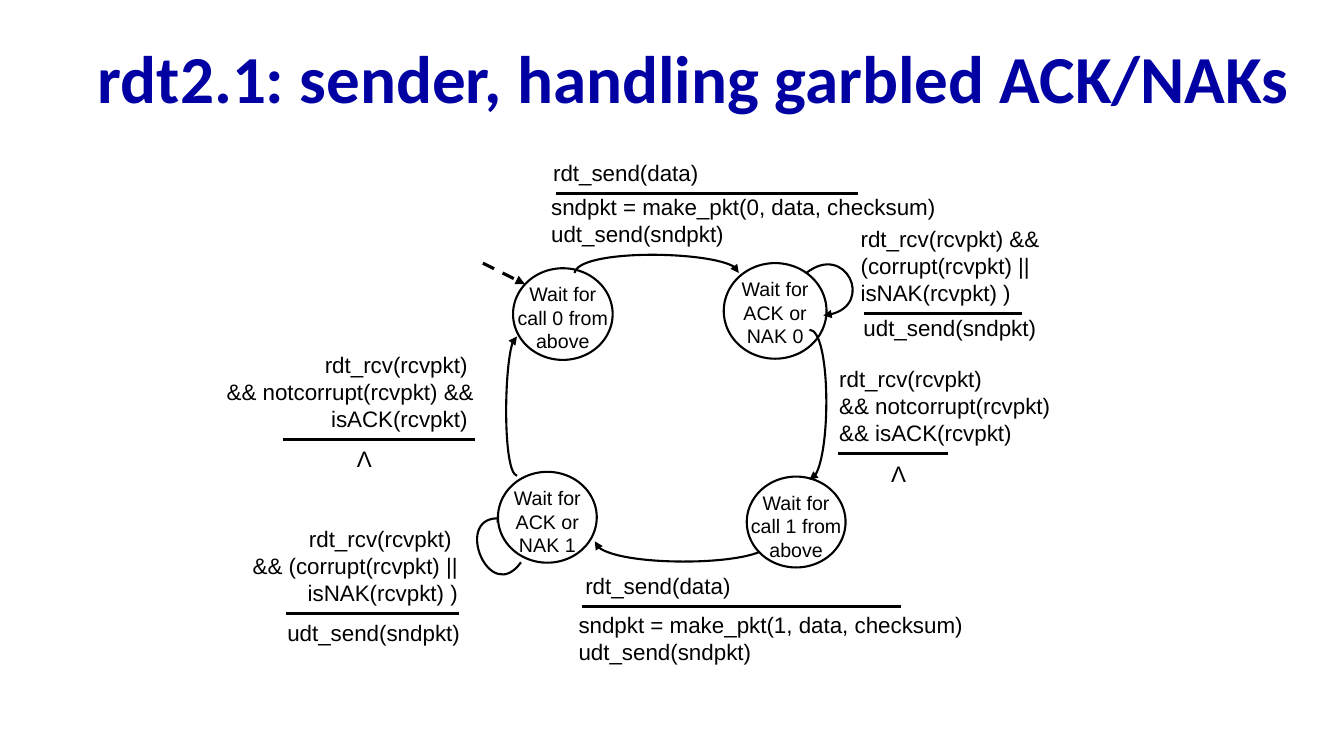
from lxml.etree import SubElement
from pptx import Presentation
from pptx.dml.color import RGBColor
from pptx.enum.dml import MSO_LINE_DASH_STYLE as Dash
from pptx.enum.shapes import MSO_CONNECTOR as Connector, MSO_SHAPE as Preset
from pptx.enum.text import MSO_ANCHOR as Anchor, MSO_AUTO_SIZE as AutoSize, PP_ALIGN as Align
from pptx.oxml.ns import qn
from pptx.util import Cm, Pt

COLORS = {"title": "0000A3", "ink": "000000", "state": "FFFFFF"}
LINE_HEIGHT = 0.68


def color(name):
    """Return the named colour."""
    return RGBColor.from_string(COLORS[name])


def lengths(values):
    """Turn numbers into centimetre lengths."""
    return [Cm(value) for value in values]


def write(frame, text, size=16, font="Arial", ink="ink", bold=False, align=Align.LEFT, spacing=None):
    """Fill a text frame with one paragraph per line of text."""
    for index, line in enumerate(text.split("\n")):
        para = frame.add_paragraph() if index else frame.paragraphs[0]
        para.alignment = align
        para.line_spacing = spacing
        span = para.add_run()
        span.text = line
        span.font.size = Pt(size)
        span.font.name = font
        span.font.bold = bold
        span.font.color.rgb = color(ink)


def add_text(page, box, text, wrap=True, **style):
    """Place a text box."""
    frame = page.shapes.add_textbox(*lengths(box)).text_frame
    frame.word_wrap = wrap
    write(frame, text, **style)


def set_line(shape, width, arrow=False):
    """Draw the line of a shape in ink, with an arrowhead on request."""
    shape.line.color.rgb = color("ink")
    shape.line.width = Pt(width)
    if arrow:
        SubElement(shape.line._get_or_add_ln(), qn("a:tailEnd"), type="triangle")


def add_straight(page, start, end, dashed=False):
    """Draw a straight rule, or a dashed arrow."""
    rule = page.shapes.add_connector(Connector.STRAIGHT, *lengths(start + end))
    if dashed:
        rule.line.dash_style = Dash.DASH
    set_line(rule, 2.25, arrow=dashed)
    SubElement(rule._element.spPr, qn("a:effectLst"))


def add_arc(page, start, *controls_and_end):
    """Draw a cubic arrow from its start, two controls and end."""
    builder = page.shapes.build_freeform(*lengths(start))
    builder.add_line_segments([lengths(point) for point in controls_and_end], close=False)
    arc = builder.convert_to_shape()
    arc.shadow.inherit = False
    arc.fill.background()
    set_line(arc, 1.5, arrow=True)
    outline = next(arc._element.iter(qn("a:path")))
    segments = outline.findall(qn("a:lnTo"))
    curve = SubElement(outline, qn("a:cubicBezTo"))
    for segment in segments:
        curve.append(segment[0])
        outline.remove(segment)


def add_title(page, box, text):
    """Move and format the title placeholder."""
    title = page.shapes.title
    title.left, title.top, title.width, title.height = lengths(box)
    frame = title.text_frame
    frame.word_wrap = True
    frame.auto_size = AutoSize.NONE
    frame.vertical_anchor = Anchor.MIDDLE
    write(frame, text, size=48, font="Calibri", ink="title", bold=True, spacing=0.9)


def add_state(page, box, text):
    """Draw a state circle with its label centred on it."""
    left, top, width, height = box
    circle = page.shapes.add_shape(Preset.OVAL, *lengths(box))
    circle.shadow.inherit = False
    circle.fill.solid()
    circle.fill.fore_color.rgb = color("state")
    set_line(circle, 1.5)
    label_width = 3.02
    add_text(page, (left + (width - label_width) / 2, top + 0.23, label_width, 1.7),
             text, size=14, align=Align.CENTER)


def add_transition(page, box, event, action="Λ", event_shift=None, action_shift=(1.07, 0.03)):
    """Write an event above a rule and its action below; no event shift means right aligned."""
    left, top, width = box
    lines = event.count("\n") + 1
    event_top = top - 0.31 - LINE_HEIGHT * lines
    event_width = 10
    event_left = left + width + 0.23 - event_width if event_shift is None else left + event_shift
    align = Align.RIGHT if event_shift is None else Align.LEFT
    add_text(page, (event_left, event_top, event_width, LINE_HEIGHT * lines), event, align=align)
    add_straight(page, (left, top), (left + width, top))
    empty = action == "Λ"
    shift_x, shift_y = action_shift
    add_text(page, (left + shift_x, top + shift_y, 0.89 if empty else 10.3, 0.94), action,
             wrap=not empty, align=Align.CENTER if empty else Align.LEFT)


def add_machine(page):
    """Draw the states, arrows and transition labels of the sender."""
    add_state(page, (12.93, 6.76, 2.51, 2.31), "Wait for call 0 from above")
    add_straight(page, (12.17, 6.63), (13.23, 7.16), dashed=True)
    add_state(page, (18.24, 6.63, 2.59, 2.41), "Wait for ACK or NAK 0")
    add_arc(page, (14.48, 6.88), (14.58, 6.27), (18.62, 6.32), (18.62, 6.88))
    add_arc(page, (20.32, 6.88), (21.31, 6.1), (22.12, 7.82), (20.75, 7.95))
    add_arc(page, (19.43, 13.64), (19.43, 14.27), (15.06, 14.33), (14.99, 13.64))
    add_arc(page, (13.13, 14.17), (12.34, 15.27), (11.33, 12.83), (12.73, 13.08))
    add_state(page, (18.82, 12.01, 2.49, 2.29), "Wait for\ncall 1 from above")
    add_state(page, (12.55, 11.89, 2.49, 2.29), "Wait for ACK or NAK 1")
    add_arc(page, (20.4, 8.31), (20.93, 8.31), (20.96, 12.01), (20.4, 12.09))
    add_arc(page, (13.03, 11.99), (12.67, 11.91), (12.7, 8.48), (13.03, 8.48))

    sends = [((14.02, 4.88, 7.6), 0, -0.33, (-0.38, -0.13)),
             ((14.66, 15.29, 8.05), 1, -0.16, (-0.33, -0.02))]
    for box, number, event_shift, action_shift in sends:
        add_transition(page, box, "rdt_send(data)",
                       f"sndpkt = make_pkt({number}, data, checksum)\nudt_send(sndpkt)",
                       event_shift, action_shift)
    add_transition(page, (21.77, 7.9, 3.99),
                   "rdt_rcv(rcvpkt) &&\n(corrupt(rcvpkt) ||\nisNAK(rcvpkt) )",
                   "udt_send(sndpkt)", -0.33, (-0.26, -0.1))
    add_transition(page, (7.21, 15.47, 4.35),
                   "rdt_rcv(rcvpkt) \n&& (corrupt(rcvpkt) ||\nisNAK(rcvpkt) )",
                   "udt_send(sndpkt)", action_shift=(-0.22, 0))
    add_transition(page, (21.13, 11.43, 2.77),
                   "rdt_rcv(rcvpkt)\n&& notcorrupt(rcvpkt)\n&& isACK(rcvpkt)", event_shift=-0.23)
    add_transition(page, (7.14, 11.07, 4.82),
                   "rdt_rcv(rcvpkt) \n&& notcorrupt(rcvpkt) &&\nisACK(rcvpkt) ",
                   action_shift=(1.6, 0.03))


def main():
    """Build the deck."""
    deck = Presentation()
    deck.slide_width, deck.slide_height = lengths((33.87, 19.05))
    page = deck.slides.add_slide(deck.slide_layouts[5])
    add_title(page, (2.21, 0.81, 30.84, 2.49), "rdt2.1: sender, handling garbled ACK/NAKs")
    add_machine(page)
    deck.save("out.pptx")


if __name__ == "__main__":
    main()
